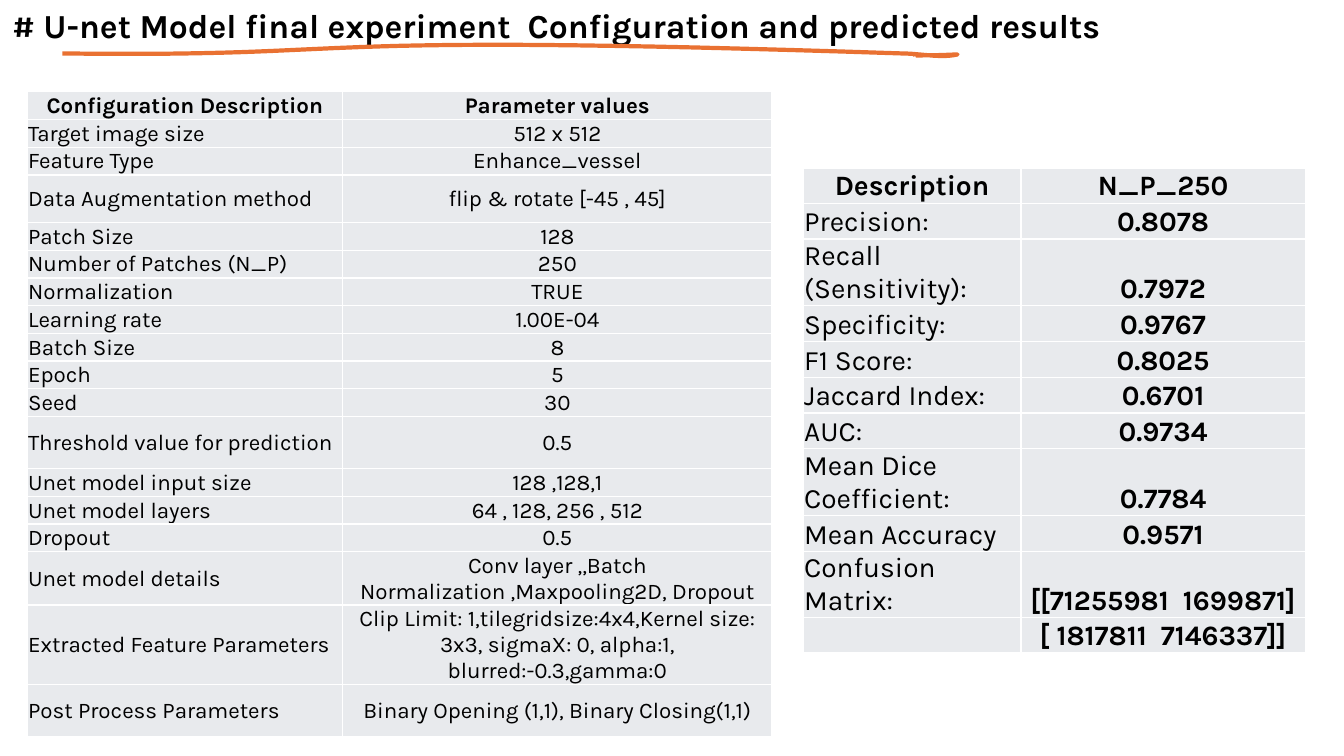
from lxml import etree
from pptx import Presentation
from pptx.dml.color import RGBColor
from pptx.enum import text
from pptx.oxml import ns
from pptx.util import Pt

BLACK = RGBColor(0x00, 0x00, 0x00)
WHITE = RGBColor(0xFF, 0xFF, 0xFF)
GREY = RGBColor(0xE8, 0xEA, 0xED)
ORANGE = RGBColor(0xE9, 0x71, 0x32)
FONT = "Karla"
MIDDLE = text.MSO_ANCHOR.MIDDLE
BOTTOM = text.MSO_ANCHOR.BOTTOM

TITLE = "# U-net Model final experiment  Configuration and predicted results"
CONFIG = [
    ("Configuration Description", "Parameter values"),
    ("Target image size", "512 x 512"),
    ("Feature Type", "Enhance_vessel"),
    ("Data Augmentation method", "flip & rotate [-45 , 45]"),
    ("Patch Size", "128"),
    ("Number of Patches (N_P)", "250"),
    ("Normalization", "TRUE"),
    ("Learning rate", "1.00E-04"),
    ("Batch Size", "8"),
    ("Epoch", "5"),
    ("Seed", "30"),
    ("Threshold value for prediction", "0.5"),
    ("Unet model input size", "128 ,128,1"),
    ("Unet model layers", "64 , 128, 256 , 512"),
    ("Dropout", "0.5"),
    ("Unet model details",
     "Conv layer ,,Batch Normalization ,Maxpooling2D, Dropout"),
    ("Extracted Feature Parameters",
     "Clip Limit: 1,tilegridsize:4x4,Kernel size: 3x3, sigmaX: 0, alpha:1, "
     "blurred:-0.3,gamma:0"),
    ("Post Process Parameters", "Binary Opening (1,1), Binary Closing(1,1)"),
]
CONFIG_TALL = {3: 34, 11: 37.3, 15: 37.3, 16: 55.5, 17: 37.3}
RESULTS = [
    ("Description", "N_P_250"),
    ("Precision:", "0.8078"),
    ("Recall (Sensitivity):", "0.7972"),
    ("Specificity:", "0.9767"),
    ("F1 Score:", "0.8025"),
    ("Jaccard Index:", "0.6701"),
    ("AUC:", "0.9734"),
    ("Mean Dice Coefficient:", "0.7784"),
    ("Mean Accuracy", "0.9571"),
    ("Confusion Matrix:", "[[71255981  1699871]"),
    ("", "[ 1817811  7146337]]"),
]
RESULTS_SHORT = {0: 24.6, 10: 24.6}
UNDERLINE_START = (44.6, 38.2)
UNDERLINE_CURVES = [
    ((279.4, 41), (185, 23), (643.7, 38.2)),
    ((658, 38.2), (671.8, 41.8), (684, 38.9)),
    ((650.9, 40.3), (653.8, 38.9), (653.8, 40.3)),
]


def style_text(p, size, bold, align):
    p.alignment = align
    for r in p.runs:
        r.font.name = FONT
        r.font.size = Pt(size)
        r.font.bold = bold
        r.font.color.rgb = BLACK


def add_title(s):
    sp = s.shapes.title
    sp.left, sp.top, sp.width, sp.height = Pt(1.4), Pt(0), Pt(813), Pt(36.3)
    tf = sp.text_frame
    tf.text = TITLE
    tf.word_wrap = True
    tf.auto_size = text.MSO_AUTO_SIZE.NONE
    tf.vertical_anchor = text.MSO_ANCHOR.TOP
    style_text(tf.paragraphs[0], 24, True, text.PP_ALIGN.LEFT)


def add_borders(cell):
    tc_pr = cell._tc.get_or_add_tcPr()
    for side in ("lnL", "lnR", "lnT", "lnB"):
        ln = etree.SubElement(tc_pr, ns.qn(f"a:{side}"), w=str(Pt(1)))
        fill = etree.SubElement(ln, ns.qn("a:solidFill"))
        etree.SubElement(fill, ns.qn("a:srgbClr"), val=str(WHITE))


def format_cell(cell, value, size, bold, align, anchor):
    add_borders(cell)
    cell.fill.solid()
    cell.fill.fore_color.rgb = GREY
    cell.margin_left = cell.margin_right = cell.margin_top = Pt(0.7)
    cell.margin_bottom = Pt(0)
    cell.vertical_anchor = anchor
    cell.text = value
    style_text(cell.text_frame.paragraphs[0], size, bold, align)


def add_grid(s, rows, left, top, widths, height, exceptions, size, bold_values, anchor):
    heights = [exceptions.get(i, height) for i in range(len(rows))]
    table = s.shapes.add_table(len(rows), len(widths), Pt(left), Pt(top),
                               Pt(sum(widths)), Pt(sum(heights))).table
    for column, width in zip(table.columns, widths):
        column.width = Pt(width)
    for i, row in enumerate(rows):
        table.rows[i].height = Pt(heights[i])
        for j, value in enumerate(row):
            header = i == 0
            centred = header or j == 1
            format_cell(table.cell(i, j), value, size,
                        header or (bold_values and j == 1),
                        text.PP_ALIGN.CENTER if centred else text.PP_ALIGN.LEFT,
                        MIDDLE if header else anchor)


def bezier_points(start, c1, c2, end, steps=32):
    points = []
    for i in range(1, steps + 1):
        t = i / steps
        weights = ((1 - t) ** 3, 3 * t * (1 - t) ** 2, 3 * t * t * (1 - t), t ** 3)
        points.append(tuple(sum(w * p[axis] for w, p in zip(weights, (start, c1, c2, end)))
                            for axis in (0, 1)))
    return points


def add_underline(s):
    points = [UNDERLINE_START]
    for curve in UNDERLINE_CURVES:
        points += bezier_points(points[-1], *curve)
    points = [(Pt(x), Pt(y)) for x, y in points]
    fb = s.shapes.build_freeform(*points[0])
    fb.add_line_segments(points[1:], close=False)
    sp = fb.convert_to_shape()
    sp.shadow.inherit = False
    sp.fill.background()
    sp.line.color.rgb = ORANGE
    sp.line.width = Pt(3)


def main():
    prs = Presentation()
    prs.slide_width, prs.slide_height = Pt(960), Pt(540)
    s = prs.slides.add_slide(prs.slide_layouts[5])
    add_title(s)
    add_grid(s, RESULTS, 573.8, 120.5, (155.5, 203), 25.6, RESULTS_SHORT, 20, True, BOTTOM)
    add_grid(s, CONFIG, 19.4, 65.6, (225.4, 306.7), 19.8, CONFIG_TALL, 16, False, MIDDLE)
    add_underline(s)
    prs.save("out.pptx")


if __name__ == "__main__":
    main()
